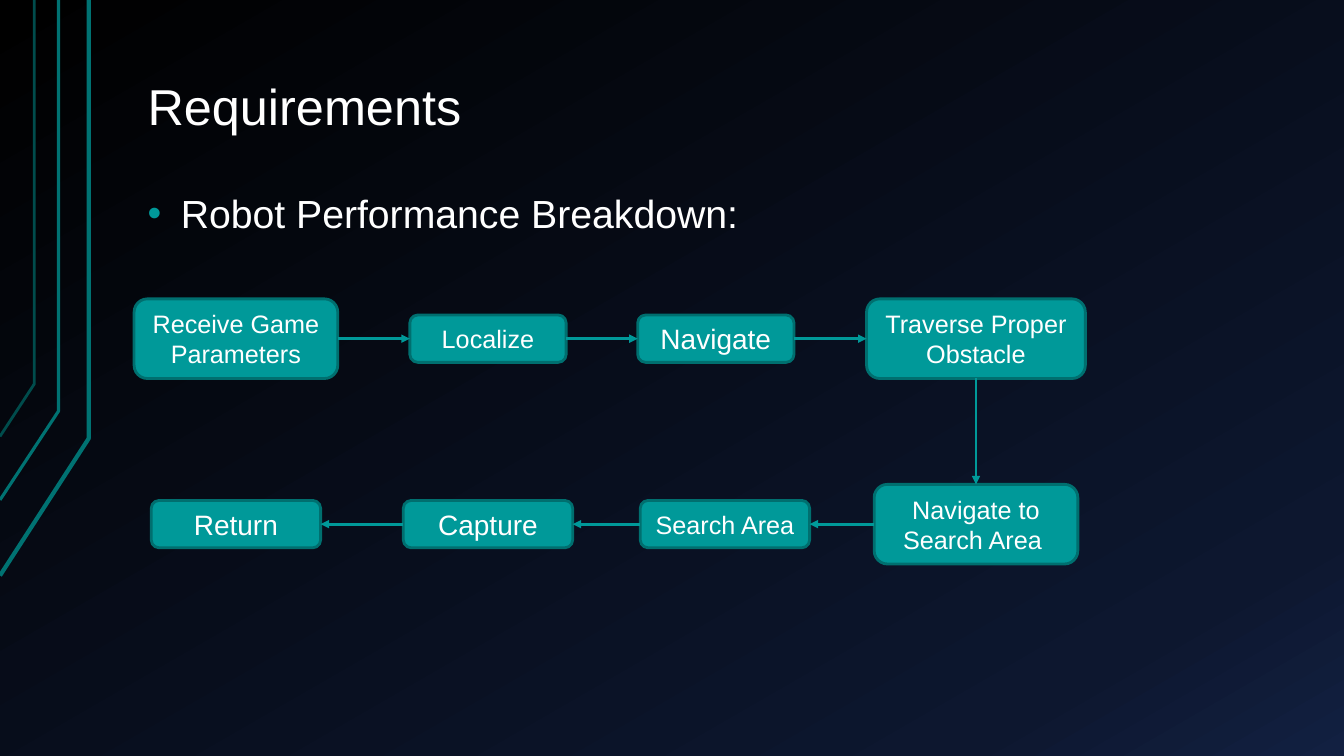
from copy import deepcopy
from itertools import pairwise

from lxml import etree
from pptx import Presentation
from pptx.dml.color import RGBColor
from pptx.enum.shapes import MSO_CONNECTOR, MSO_SHAPE
from pptx.enum.text import MSO_ANCHOR, PP_ALIGN
from pptx.oxml.ns import qn
from pptx.util import Inches, Pt

STEP = MSO_SHAPE.FLOWCHART_ALTERNATE_PROCESS
LINE = MSO_CONNECTOR.STRAIGHT
LEFT, MID = PP_ALIGN.LEFT, PP_ALIGN.CENTER
TOP, CENTER, BASE = MSO_ANCHOR.TOP, MSO_ANCHOR.MIDDLE, MSO_ANCHOR.BOTTOM

WIDE, HIGH = 13.33, 7.5
COLS = (2.34, 4.84, 7.1, 9.68)
ROWS = (3.36, 5.2)
TALL, LOW = 0.79, 0.47
TEAL, EDGE, RAIL, DIM, WHITE = "009999", "006F6F", "007272", "004C4C", "FFFFFF"

RAILS = (
    (RAIL, 3, ((0, 5.71), (0.88, 4.35), (0.88, 0))),
    (RAIL, 2.25, ((0, 4.96), (0.58, 4.08), (0.58, 0))),
    (DIM, 2, ((0, 4.33), (0.34, 3.81), (0.34, 0))),
)
STEPS = (
    ("Receive Game Parameters", COLS[0], ROWS[0], 2.02, TALL, 18),
    ("Localize", COLS[1], ROWS[0], 1.55, LOW, 18),
    ("Navigate", COLS[2], ROWS[0], 1.55, LOW, 20),
    ("Traverse Proper Obstacle", COLS[3], ROWS[0], 2.17, TALL, 18),
    ("Navigate to Search Area ", COLS[3], ROWS[1], 2.02, TALL, 18),
    ("Search Area", COLS[2] + 0.09, ROWS[1], 1.68, LOW, 18),
    ("Capture", COLS[1], ROWS[1], 1.68, LOW, 20),
    ("Return", COLS[0], ROWS[1], 1.68, LOW, 20),
)
SIDES = ((3, 1),) * 3 + ((2, 0),) + ((1, 3),) * 3


def color(code):
    return RGBColor.from_string(code)


def stroke(shape, code, width):
    shape.line.color.rgb = color(code)
    shape.line.width = Pt(width)


def write(shape, text, size=18, align=MID, anchor=CENTER, pad=(0.1, 0.05), gap=1):
    frame = shape.text_frame
    frame.word_wrap = True
    frame.vertical_anchor = anchor
    frame.margin_left = frame.margin_right = Inches(pad[0])
    frame.margin_top = frame.margin_bottom = Inches(pad[1])
    para = frame.paragraphs[0]
    para.alignment = align
    para.line_spacing = gap
    run = para.add_run()
    run.text = text
    run.font.name = "Arial"
    run.font.size = Pt(size)
    run.font.color.rgb = color(WHITE)
    return para


def label(slide, text, top, high, **style):
    box = slide.shapes.add_textbox(
        Inches(WIDE / 10), Inches(top), Inches(WIDE * 0.85), Inches(high)
    )
    return write(box, text, align=LEFT, pad=(0.13, 0.07), gap=0.9, **style)


def bullet(para):
    props = para._p.get_or_add_pPr()
    props.set("marL", str(Inches(0.33)))
    props.set("indent", str(-Inches(0.33)))
    tint = etree.SubElement(props, qn("a:buClr"))
    etree.SubElement(tint, qn("a:srgbClr"), val=TEAL)
    etree.SubElement(props, qn("a:buFont"), typeface="Arial")
    etree.SubElement(props, qn("a:buChar"), char="•")


def paint(slide):
    fill = slide.background.fill
    fill.gradient()
    fill.gradient_angle = 300
    last = fill.gradient_stops[1]._gs
    last.addprevious(deepcopy(last))
    tints = ((0, "000000"), (0.85, "0D172F"), (1, "122041"))
    for stop, (place, code) in zip(fill.gradient_stops, tints):
        stop.position = place
        stop.color.rgb = color(code)


def rail(slide, code, width, points):
    start, *rest = [(Inches(x), Inches(y)) for x, y in points]
    pen = slide.shapes.build_freeform(*start)
    pen.add_line_segments(rest, close=False)
    shape = pen.convert_to_shape()
    shape.shadow.inherit = False
    shape.fill.background()
    stroke(shape, code, width)


def step(slide, text, x, y, wide, high, size):
    shape = slide.shapes.add_shape(
        STEP, Inches(x - wide / 2), Inches(y - high / 2), Inches(wide), Inches(high)
    )
    shape.shadow.inherit = False
    shape.fill.solid()
    shape.fill.fore_color.rgb = color(TEAL)
    stroke(shape, EDGE, 2)
    write(shape, text, size=size)
    return shape


def arrow(slide, start, end, sides):
    link = slide.shapes.add_connector(LINE, 0, 0, 0, 0)
    link.begin_connect(start, sides[0])
    link.end_connect(end, sides[1])
    stroke(link, TEAL, 2)
    props = link._element.spPr
    etree.SubElement(props.find(qn("a:ln")), qn("a:tailEnd"), type="triangle")
    etree.SubElement(props, qn("a:effectLst"))


def main():
    deck = Presentation()
    deck.slide_width, deck.slide_height = Inches(WIDE), Inches(HIGH)
    slide = deck.slides.add_slide(deck.slide_layouts[6])
    paint(slide)
    for item in RAILS:
        rail(slide, *item)
    label(slide, "Requirements", 0.08, 1.34, size=36, anchor=BASE)
    bullet(label(slide, "Robot Performance Breakdown:", 1.86, 4.72, size=28, anchor=TOP))
    boxes = [step(slide, *item) for item in STEPS]
    for (start, end), sides in zip(pairwise(boxes), SIDES):
        arrow(slide, start, end, sides)
    deck.save("out.pptx")


if __name__ == "__main__":
    main()
